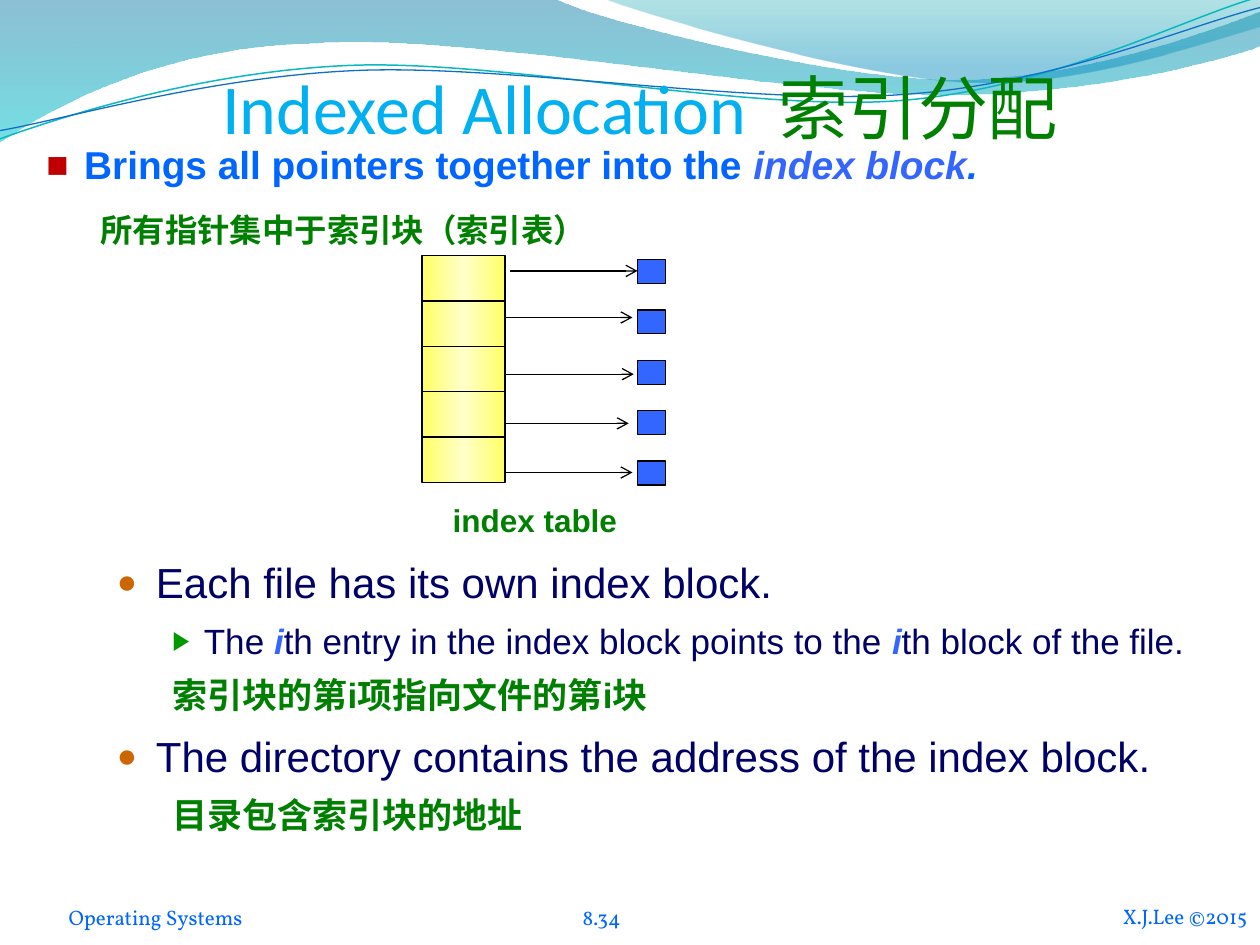
from pptx import Presentation
from pptx.dml.color import RGBColor
from pptx.enum.shapes import MSO_CONNECTOR, MSO_SHAPE
from pptx.enum.text import MSO_ANCHOR, MSO_AUTO_SIZE, PP_ALIGN
from pptx.oxml.ns import qn
from pptx.util import Inches, Pt
from lxml import etree

CENTER, RIGHT = PP_ALIGN.CENTER, PP_ALIGN.RIGHT
TOP, MIDDLE, BOTTOM = MSO_ANCHOR.TOP, MSO_ANCHOR.MIDDLE, MSO_ANCHOR.BOTTOM
RECT, STRAIGHT = MSO_SHAPE.RECTANGLE, MSO_CONNECTOR.STRAIGHT

BLACK = RGBColor(0x00, 0x00, 0x00)
SKY = RGBColor(0x00, 0xB0, 0xF0)
GREEN = RGBColor(0x00, 0x80, 0x00)
BLUE = RGBColor(0x00, 0x66, 0xFF)
ROYAL = RGBColor(0x33, 0x66, 0xFF)
NAVY = RGBColor(0x00, 0x00, 0x66)
RED = RGBColor(0xC0, 0x00, 0x00)
ORANGE = RGBColor(0xCC, 0x66, 0x00)
LEAF = RGBColor(0x00, 0x99, 0x00)
YELLOW = RGBColor(0xFF, 0xFF, 0x66)
CREAM = RGBColor(0xFF, 0xFF, 0xCA)
DEEP = RGBColor(0x00, 0x74, 0xA1)
AQUA = RGBColor(0x00, 0xC6, 0xCF)
TEAL = RGBColor(0x00, 0xA1, 0xA9)
AZURE = RGBColor(0x00, 0x8B, 0xBF)
CYAN_LINE = RGBColor(0x0A, 0xB8, 0xBF)
BLUE_LINE = RGBColor(0x0F, 0x6F, 0xC6)

SQUARE = ("■", RED, 95)
DOT = ("●", ORANGE, 80)
WEDGE = ("▶", LEAF, 75)

# Each wave: start point, then steps of two (line) or six (curve) numbers.
BANDS = [
    ((0, 0), [(4.4, -0.01), (4.76, 0.17, 6.64, 0.63, 7.58, 0.63),
              (8.53, 0.63, 9.58, 0.26, 10, 0.09), (10.01, 0.36),
              (9.83, 0.44, 8.7, 0.76, 7.46, 0.75),
              (6.22, 0.75, 3.82, 0.28, 2.57, 0.34),
              (1.29, 0.36, 0.46, 0.83, -0.01, 1.13), (0, 0)],
     [(0, DEEP, 45), (100, AQUA, 55)]),
    ((4.79, -0.01), [(5.09, 0.11, 6.82, 0.62, 7.69, 0.65),
                     (8.56, 0.69, 9.61, 0.32, 10, 0.21), (10, 0),
                     (4.79, -0.01)],
     [(0, TEAL, 30), (80, AZURE, 45)]),
]
STRANDS = [
    ((-0.02, 1.11), [(0.48, 0.93, 1.58, 0.57, 2.77, 0.52),
                     (3.95, 0.47, 5.93, 0.89, 7.13, 0.8),
                     (8.33, 0.71, 9.38, 0.15, 9.98, -0.02)], CYAN_LINE, 0.85),
    ((-0.02, 1.04), [(0.47, 0.96, 1.64, 0.61, 2.83, 0.56),
                     (4.03, 0.51, 5.97, 0.84, 7.17, 0.75),
                     (8.36, 0.67, 9.41, 0.21, 10, 0.06)], BLUE_LINE, 0.75),
]


def sub(parent, tag, **attrs):
    node = etree.SubElement(parent, qn(tag))
    for key, value in attrs.items():
        node.set(key, str(value))
    return node


def blend(shape, stops, angle):
    """Fill with a gradient of (position, colour, opacity) stops."""
    shape.fill.gradient()
    shape.fill.gradient_angle = angle
    listing = shape._element.spPr.find(qn("a:gradFill")).find(qn("a:gsLst"))
    listing.clear()
    for pos, color, alpha in stops:
        stop = sub(listing, "a:gs", pos=pos * 1000)
        tint = sub(stop, "a:srgbClr", val=color)
        if alpha < 100:
            sub(tint, "a:alpha", val=alpha * 1000)


def add_wave(slide, start, steps, close):
    """Draw a freeform, bending each six-number step into a cubic curve."""
    ends = [tuple(map(Inches, step[-2:])) for step in steps]
    form = slide.shapes.build_freeform(*map(Inches, start), scale=1.0)
    form.add_line_segments(ends, close=close)
    wave = form.convert_to_shape()
    wave.shadow.inherit = False
    lines = list(wave._element.iter(qn("a:lnTo")))
    for line, step in zip(lines, steps):
        if len(step) == 6:
            line.clear()
            curve = etree.Element(qn("a:cubicBezTo"))
            for x, y in zip(step[::2], step[1::2]):
                sub(curve, "a:pt", x=Inches(x) - wave.left,
                    y=Inches(y) - wave.top)
            line.getparent().replace(line, curve)
    return wave


def add_waves(slide):
    for start, steps, stops in BANDS:
        band = add_wave(slide, start, steps, True)
        blend(band, stops, 270)
        band.line.fill.background()
    for start, steps, color, width in STRANDS:
        strand = add_wave(slide, start, steps, False)
        strand.fill.background()
        strand.line.color.rgb = color
        strand.line.width = Pt(width)


def style(run, font, size, color, bold=False, italic=False):
    run.font.name, run.font.size = font, Pt(size)
    run.font.color.rgb = color
    run.font.bold, run.font.italic = bold, italic


def set_frame(shape, box, anchor, margins, wrap=True):
    shape.left, shape.top, shape.width, shape.height = map(Inches, box)
    frame = shape.text_frame
    frame.word_wrap, frame.auto_size = wrap, MSO_AUTO_SIZE.NONE
    frame.vertical_anchor = anchor
    (frame.margin_left, frame.margin_top,
     frame.margin_right, frame.margin_bottom) = map(Inches, margins)
    return frame


def add_title(slide, box):
    title = slide.shapes.title
    slide.shapes._spTree.append(title._element)
    para = set_frame(title, box, BOTTOM, (0, 0.05, 0, 0)).paragraphs[0]
    para.alignment = CENTER
    for text, color in (("Indexed Allocation  ", SKY), ("索引分配", GREEN)):
        run = para.add_run()
        run.text = text
        style(run, "Calibri", 40, color)


def add_label(slide, box, text, font, size, color, align, anchor, bold=False):
    label = slide.shapes.add_textbox(*map(Inches, box))
    para = set_frame(label, box, anchor, (0, 0, 0, 0), False).paragraphs[0]
    para.text, para.alignment = text, align
    style(para.runs[0], font, size, color, bold)


def add_list(slide, box, items, spacing, before):
    """Items are (level, margin, hang, bullet, size, runs)."""
    area = slide.shapes.add_textbox(*map(Inches, box))
    frame = set_frame(area, box, TOP, (0.1, 0.05, 0.1, 0.05))
    for i, (level, margin, hang, bullet, size, runs) in enumerate(items):
        para = frame.add_paragraph() if i else frame.paragraphs[0]
        para.level, para.line_spacing = level, spacing
        props = para._p.get_or_add_pPr()
        props.set("marL", str(Inches(margin)))
        props.set("indent", str(Inches(-hang)))
        gap = sub(props, "a:spcBef")
        if before < 1:
            sub(gap, "a:spcPct", val=int(before * 100000))
        else:
            sub(gap, "a:spcPts", val=before * 100)
        if bullet:
            mark, color, scale = bullet
            sub(sub(props, "a:buClr"), "a:srgbClr", val=color)
            sub(props, "a:buSzPct", val=scale * 1000)
            sub(props, "a:buFont", typeface="Arial")
            sub(props, "a:buChar", char=mark)
        else:
            sub(props, "a:buNone")
        for text, *look in runs:
            run = para.add_run()
            run.text = text
            style(run, "Arial", size, *look)


def add_rect(slide, box):
    rect = slide.shapes.add_shape(RECT, *map(Inches, box))
    rect.shadow.inherit = False
    rect.line.color.rgb, rect.line.width = BLACK, Pt(0.75)
    return rect


def add_arrow(slide, x, y, length):
    arrow = slide.shapes.add_connector(
        STRAIGHT, Inches(x), Inches(y), Inches(x + length), Inches(y))
    arrow.line.color.rgb, arrow.line.width = BLACK, Pt(0.75)
    sub(arrow.line._get_or_add_ln(), "a:tailEnd", type="arrow")
    sub(arrow._element.spPr, "a:effectLst")


def add_index(slide, left, top):
    """Index table whose entries point at file blocks."""
    for x, y in ((0.7, 0.12), (0.66, 0.49), (0.67, 0.94),
                 (0.63, 1.33), (0.66, 1.72)):
        add_arrow(slide, left + x, top + y, 1.01)
    for i in range(5):
        cell = add_rect(slide, (left, top + 0.36 * i, 0.66, 0.36))
        blend(cell, [(0, YELLOW, 100), (50, CREAM, 100), (100, YELLOW, 100)], 0)
        block = add_rect(slide, (left + 1.71, top + 0.03 + 0.4 * i, 0.22, 0.19))
        block.fill.solid()
        block.fill.fore_color.rgb = ROYAL
    add_label(slide, (left + 0.14, top + 1.9, 1.51, 0.4), "index table",
              "Arial", 18, GREEN, CENTER, MIDDLE, True)


def main():
    deck = Presentation()
    deck.slide_width, deck.slide_height = Inches(10), Inches(7.5)
    slide = deck.slides.add_slide(deck.slide_layouts[5])
    add_waves(slide)
    add_title(slide, (0.58, 0.4, 9, 0.78))
    add_list(slide, (0.27, 0.96, 8.96, 1.09), [
        (0, 0.3, 0.3, SQUARE, 22.2, [
            ("Brings all pointers together into the ", BLUE, True),
            ("index block", ROYAL, True, True), (".", BLUE, True, True)]),
        (1, 0.7, 0.27, None, 18.5,
         [("所有指针集中于索引块（索引表）", GREEN, True)])], 1.3, 6)
    add_list(slide, (0.33, 4.37, 9.5, 2.71), [
        (1, 0.81, 0.31, DOT, 24, [("Each file has its own index block.", NAVY)]),
        (2, 1.19, 0.25, WEDGE, 20, [
            ("The ", NAVY), ("i", ROYAL, True, True),
            ("th entry in the index block points to the ", NAVY),
            ("i", ROYAL, True, True), ("th block of the file.", NAVY)]),
        (2, 1.19, 0.25, None, 20, [("索引块的第i项指向文件的第i块", GREEN, True)]),
        (1, 0.81, 0.31, DOT, 24,
         [("The directory contains the address of the index block.", NAVY)]),
        (2, 1.19, 0.25, None, 20, [("目录包含索引块的地址", GREEN, True)])],
        1.0, 0.35)
    add_index(slide, 3.35, 2.03)
    for box, text, align in (
            ((0.23, 6.99, 2.01, 0.39), "Operating Systems", CENTER),
            ((8.42, 7.1, 1.48, 0.27), "X.J.Lee ©2015", RIGHT),
            ((4.48, 7.06, 0.59, 0.32), "8.34", CENTER)):
        add_label(slide, box, text, "Vollkorn", 12, BLUE, align, BOTTOM)
    deck.save("out.pptx")


if __name__ == "__main__":
    main()
